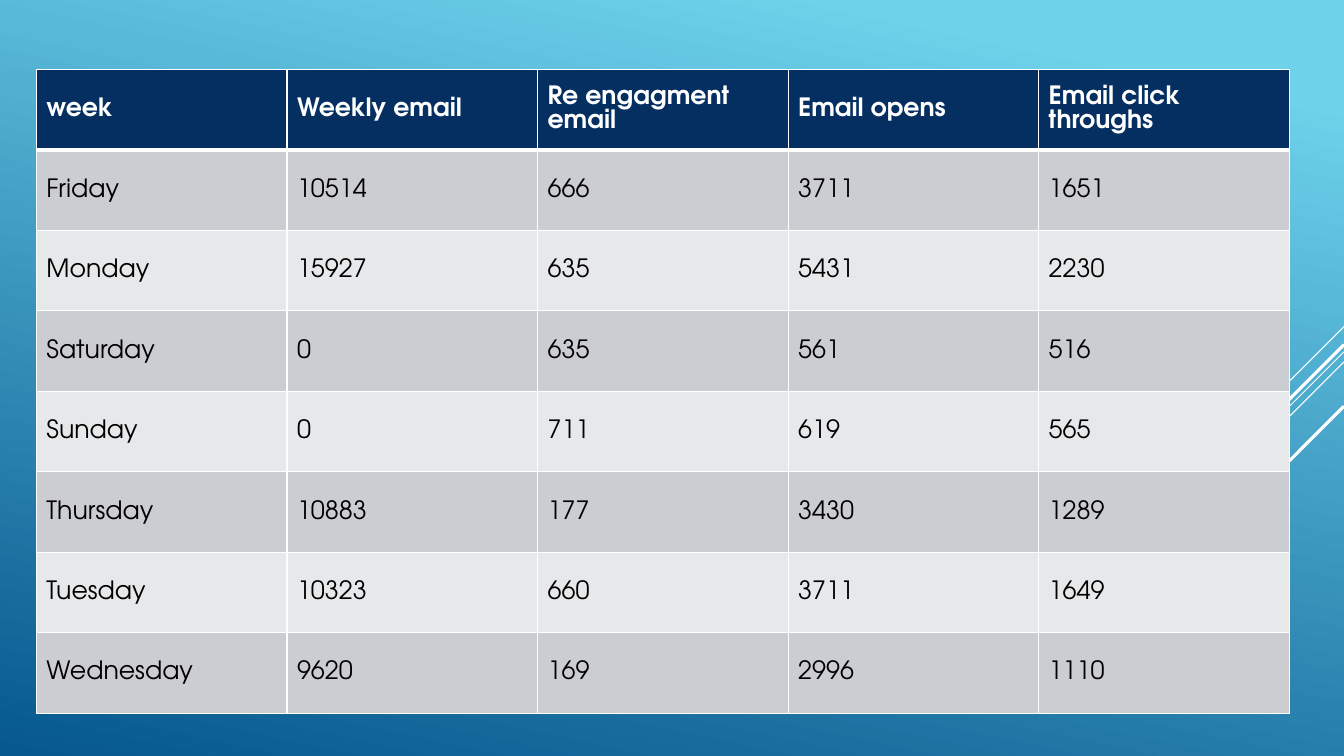
import lxml.etree
import pptx
import pptx.dml.color
import pptx.enum.shapes
import pptx.enum.text
import pptx.oxml.ns
import pptx.util

Pt = pptx.util.Pt
qn = pptx.oxml.ns.qn

SLIDE_WIDTH, SLIDE_HEIGHT = 960, 540
TABLE_BOX = (26, 49.6, 895, 460)
WHITE = "FFFFFF"
BACKGROUND_STOPS = [(0.1, "6ED2EB"), (1, "06588E")]
HEADER_FORMAT = {"fill": "052F61", "color": WHITE, "bold": True}
BAND_FORMATS = [
    {"fill": "CCCDD2", "color": "000000", "bold": False},
    {"fill": "E7E8EA", "color": "000000", "bold": False},
]
FONT_FORMAT = {"name": "TeX Gyre Adventor", "size": Pt(18)}
DIAGONALS = [
    (233.3, 72, 0.75),
    (251.3, 234.7, 0.75),
    (258.5, 149, 0.75),
    (246.2, 137.5, 2.25),
    (290.2, 100, 2.25),
]
EMAIL_ROWS = [
    ["week", "Weekly email", "Re engagment email", "Email opens", "Email click throughs"],
    ["Friday", "10514", "666", "3711", "1651"],
    ["Monday", "15927", "635", "5431", "2230"],
    ["Saturday", "0", "635", "561", "516"],
    ["Sunday", "0", "711", "619", "565"],
    ["Thursday", "10883", "177", "3430", "1289"],
    ["Tuesday", "10323", "660", "3711", "1649"],
    ["Wednesday", "9620", "169", "2996", "1110"],
]


def rgb(color):
    return pptx.dml.color.RGBColor.from_string(color)


def set_background(slide):
    fill = slide.background.fill
    fill.gradient()
    fill.gradient_angle = 360 - 102
    for stop, (position, color) in zip(fill.gradient_stops, BACKGROUND_STOPS):
        stop.position = position
        stop.color.rgb = rgb(color)


def add_diagonal(slide, top, length, width):
    connector = slide.shapes.add_connector(
        pptx.enum.shapes.MSO_CONNECTOR.STRAIGHT,
        Pt(SLIDE_WIDTH), Pt(top), Pt(SLIDE_WIDTH - length), Pt(top + length),
    )
    connector.line.color.rgb = rgb(WHITE)
    connector.line.width = Pt(width)
    lxml.etree.SubElement(connector._element.spPr, qn("a:effectLst"))


def set_borders(cell, widths):
    properties = cell._tc.get_or_add_tcPr()
    for position, (side, width) in enumerate(widths.items()):
        border = lxml.etree.Element(qn(f"a:{side}"), w=str(Pt(width)))
        fill = lxml.etree.SubElement(border, qn("a:solidFill"))
        lxml.etree.SubElement(fill, qn("a:srgbClr"), val=WHITE)
        properties.insert(position, border)


def format_cell(cell, text, cell_format, widths):
    cell.text = text
    cell.vertical_anchor = pptx.enum.text.MSO_ANCHOR.MIDDLE
    cell.fill.solid()
    cell.fill.fore_color.rgb = rgb(cell_format["fill"])
    font = cell.text_frame.paragraphs[0].runs[0].font
    for name, value in {**FONT_FORMAT, "bold": cell_format["bold"]}.items():
        setattr(font, name, value)
    font.color.rgb = rgb(cell_format["color"])
    set_borders(cell, widths)


def add_email_table(slide):
    left, top, width, height = TABLE_BOX
    row_count, column_count = len(EMAIL_ROWS), len(EMAIL_ROWS[0])
    table = slide.shapes.add_table(
        row_count, column_count, Pt(left), Pt(top), Pt(width), Pt(height)
    ).table
    for column in table.columns:
        column.width = Pt(width / column_count)
    for row in table.rows:
        row.height = Pt(height / row_count)
    for row_index, texts in enumerate(EMAIL_ROWS):
        cell_format = BAND_FORMATS[(row_index - 1) % 2] if row_index else HEADER_FORMAT
        widths = {
            "lnL": 1,
            "lnR": 1,
            "lnT": 3 if row_index == 1 else 1,
            "lnB": 1 if row_index else 3,
        }
        for column_index, text in enumerate(texts):
            format_cell(table.cell(row_index, column_index), text, cell_format, widths)


def main():
    presentation = pptx.Presentation()
    presentation.slide_width = Pt(SLIDE_WIDTH)
    presentation.slide_height = Pt(SLIDE_HEIGHT)
    slide = presentation.slides.add_slide(presentation.slide_layouts[6])
    set_background(slide)
    for top, length, width in DIAGONALS:
        add_diagonal(slide, top, length, width)
    add_email_table(slide)
    presentation.save("out.pptx")


if __name__ == "__main__":
    main()
